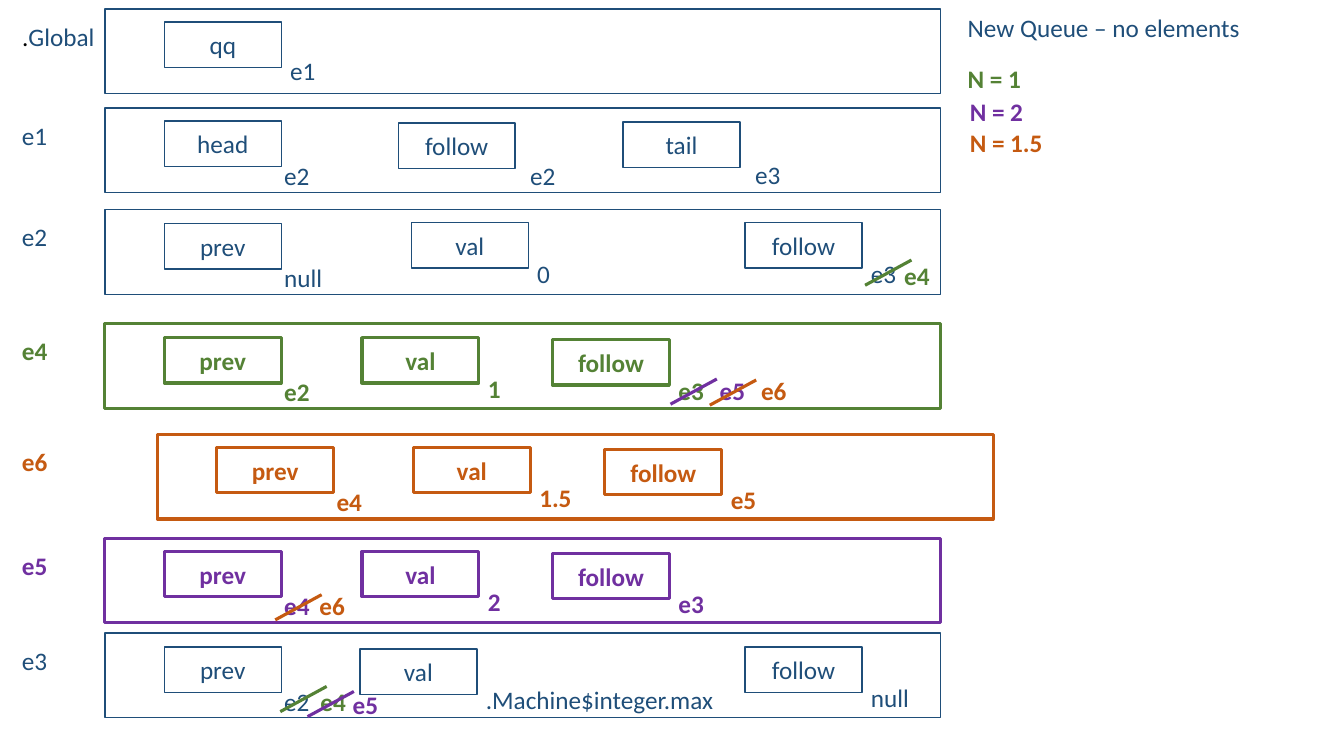
from collections import namedtuple
from dataclasses import dataclass

from lxml.etree import SubElement as Sub
from pptx import Presentation
from pptx.dml.color import RGBColor as Rgb
from pptx.enum.shapes import MSO_CONNECTOR as Link, MSO_SHAPE as Form
from pptx.enum.text import MSO_ANCHOR as Anchor, MSO_AUTO_SIZE as Fit, PP_ALIGN as Align
from pptx.oxml.ns import qn
from pptx.util import Inches as In, Pt


@dataclass(frozen=True)
class Theme:
    blue: str = "1F4E79"
    green: str = "548235"
    rust: str = "C55A11"
    plum: str = "7030A0"
    black: str = "000000"
    font: str = "Calibri"
    size: float = 18
    thin: float = 1
    thick: float = 2.25


T = Theme()
Box = namedtuple("Box", "left top width height")
Cut = namedtuple("Cut", "ink dx dy")
Val = namedtuple("Val", "text dx dy ink cut", defaults=(1.15, 0.3, None, None))
Field = namedtuple("Field", "name dx dy vals")
Row = namedtuple("Row", "name ink left top fields")

WIDE, TALL = 8.29, 0.84
CELL = (1.16, 0.45)
LINE = 0.4
SLASH = (0.46, 0.25)
EDGE = 1.04
WIDTHS = {"0": 0.33, "1": 0.33, "2": 0.33, "1.5": 0.52, "null": 0.58,
          ".Global": 0.92, ".Machine$integer.max": 2.48}

ROWS = [
    Row(".Global", T.blue, EDGE, 0.09, [
        Field("qq", 0.59, 0.13, [Val("e1", 1.15, 0.28)])]),
    Row("e1", T.blue, EDGE, 1.07, [
        Field("head", 0.59, 0.13, [Val("e2", 1.09, 0.34)]),
        Field("follow", 2.91, 0.15, [Val("e2", 1.21, 0.32)]),
        Field("tail", 5.14, 0.14, [Val("e3", 1.21, 0.32)])]),
    Row("e2", T.blue, EDGE, 2.08, [
        Field("prev", 0.59, 0.14, [Val("null", 1.09, 0.33)]),
        Field("val", 3.04, 0.13, [Val("0")]),
        Field("follow", 6.35, 0.13, [
            Val("e3", cut=Cut(T.green, 0.04, 0.07)),
            Val("e4", 1.48, 0.32, T.green)])]),
    Row("e4", T.green, EDGE, 3.21, [
        Field("prev", 0.59, 0.14, [Val("e2", 1.09, 0.33)]),
        Field("val", 2.55, 0.14, [Val("1")]),
        Field("follow", 4.44, 0.16, [
            Val("e3", cut=Cut(T.plum, 0.02, 0.09)),
            Val("e5", 1.56, ink=T.plum, cut=Cut(T.rust, 0, 0.1)),
            Val("e6", 1.97, ink=T.rust)])]),
    Row("e6", T.rust, 1.56, 4.31, [
        Field("prev", 0.59, 0.13, [Val("e4", 1.09, 0.34)]),
        Field("val", 2.54, 0.13, [Val("1.5")]),
        Field("follow", 4.44, 0.15, [Val("e5")])]),
    Row("e5", T.plum, EDGE, 5.34, [
        Field("prev", 0.59, 0.13, [
            Val("e4", 1.09, 0.34, cut=Cut(T.rust, 0.01, 0.09)),
            Val("e6", 1.44, 0.34, T.rust)]),
        Field("val", 2.55, 0.13, [Val("2")]),
        Field("follow", 4.44, 0.15, [Val("e3")])]),
    Row("e3", T.blue, EDGE, 6.28, [
        Field("prev", 0.59, 0.14, [
            Val("e2", 1.09, 0.34, cut=Cut(T.green, 0.06, 0.05)),
            Val("e4", 1.45, 0.34, T.green, Cut(T.plum, -0.03, 0.1)),
            Val("e5", 1.77, 0.37, T.plum)]),
        Field("val", 2.53, 0.16, [Val(".Machine$integer.max")]),
        Field("follow", 6.35, 0.14, [Val("null")])]),
]

NOTES = [
    (Box(9.5, 0.07, 2.93, LINE), [("New Queue – no elements", T.blue)]),
    (Box(9.5, 0.58, 0.73, LINE), [("N = 1", T.green)]),
    (Box(9.52, 0.91, 0.93, 0.71), [("N = 2", T.plum), ("N = 1.5", T.rust)]),
]


def style(par, ink):
    font = par.font
    font.name, font.size, font.bold = T.font, Pt(T.size), ink != T.blue
    font.color.rgb = Rgb.from_string(ink)


def write(slide, box, lines):
    frame = slide.shapes.add_textbox(*map(In, box)).text_frame
    frame.word_wrap = False
    frame.auto_size = Fit.SHAPE_TO_FIT_TEXT
    for i, (text, ink) in enumerate(lines):
        par = frame.add_paragraph() if i else frame.paragraphs[0]
        par.text = text
        style(par, ink)
    return frame


def frame_box(slide, box, ink, text=""):
    rect = slide.shapes.add_shape(Form.RECTANGLE, *map(In, box))
    rect.shadow.inherit = False
    rect.fill.background()
    rect.line.color.rgb = Rgb.from_string(ink)
    rect.line.width = Pt(T.thin if ink == T.blue else T.thick)
    if text:
        rect.text_frame.vertical_anchor = Anchor.MIDDLE
        par = rect.text_frame.paragraphs[0]
        par.text, par.alignment = text, Align.CENTER
        style(par, ink)


def strike(slide, left, top, ink):
    wide, tall = SLASH
    ends = (left + wide, top, left, top + tall)
    line = slide.shapes.add_connector(Link.STRAIGHT, *map(In, ends))
    line.line.color.rgb = Rgb.from_string(ink)
    line.line.width = Pt(T.thick)
    Sub(line._element.spPr, qn("a:effectLst"))


def draw_field(slide, box, field, ink):
    frame_box(slide, box, ink, field.name)
    for val in field.vals:
        left, top = box.left + val.dx, box.top + val.dy
        spot = Box(left, top, WIDTHS.get(val.text, 0.46), LINE)
        write(slide, spot, [(val.text, val.ink or ink)])
        if val.cut:
            strike(slide, left + val.cut.dx, top + val.cut.dy, val.cut.ink)


def draw_row(slide, box, row):
    spot = Box(0.12, box.top + 0.07, WIDTHS.get(row.name, 0.46), LINE)
    label = write(slide, spot, [(row.name, row.ink)])
    if row.name.startswith("."):
        par = label.paragraphs[0]
        par.runs[0].text = "."
        par.runs[0].font.color.rgb = Rgb.from_string(T.black)
        par.add_run().text = row.name[1:]
    frame_box(slide, box, row.ink)
    for field in row.fields:
        cell = Box(box.left + field.dx, box.top + field.dy, *CELL)
        draw_field(slide, cell, field, row.ink)


def main():
    deck = Presentation()
    deck.slide_width, deck.slide_height = In(13.33), In(7.5)
    slide = deck.slides.add_slide(deck.slide_layouts[6])
    for row in ROWS:
        draw_row(slide, Box(row.left, row.top, WIDE, TALL), row)
    for box, lines in NOTES:
        write(slide, box, lines)
    deck.save("out.pptx")


if __name__ == "__main__":
    main()
